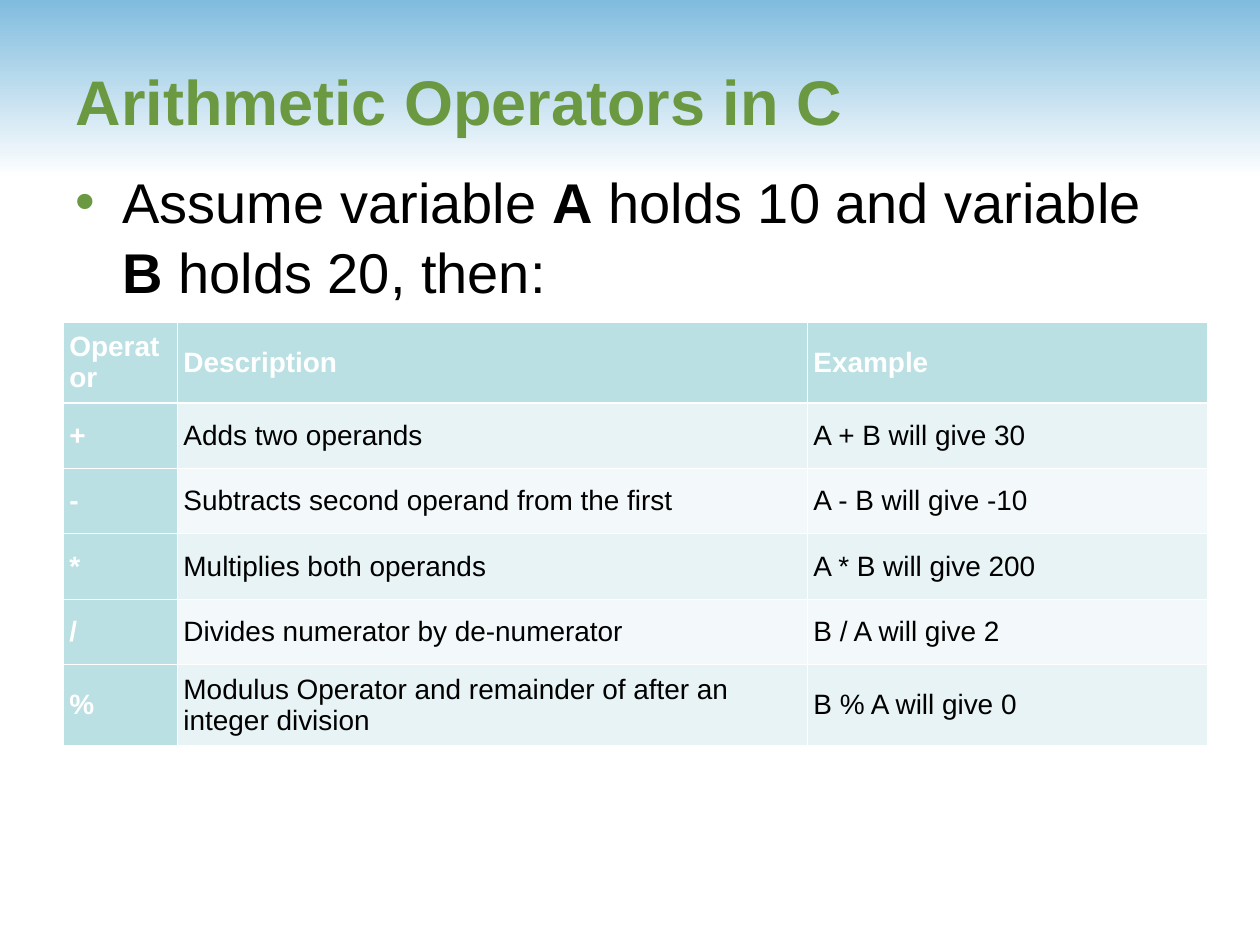
import pptx
import pptx.util
import pptx.dml.color
import pptx.enum.shapes
import pptx.enum.text
import pptx.oxml
import pptx.oxml.ns
from pptx.util import Cm, Pt

COLORS = {
    "sky": "80BCDE", "white": "FFFFFF", "green": "6B9941", "black": "000000",
    "header": "BBE0E3", "odd": "E7F3F4", "even": "F3F9FA",
}
FONT = "Arial"
LEFT, WIDTH = Cm(1.27), Cm(23.06)
COLUMNS = [2.3, 12.7, 8.06]
ROW_HEIGHTS = [1.62, 1.32, 1.32, 1.32, 1.32, 1.62]
OPERATORS = [
    ("Operator", "Description", "Example"),
    ("+", "Adds two operands", "A + B will give 30"),
    ("-", "Subtracts second operand from the first", "A - B will give -10"),
    ("*", "Multiplies both operands", "A * B will give 200"),
    ("/", "Divides numerator by de-numerator", "B / A will give 2"),
    ("%", "Modulus Operator and remainder of after an integer division",
     "B % A will give 0"),
]
ASSUMPTION = [("Assume variable ", False), ("A", True),
              (" holds 10 and variable ", False), ("B", True),
              (" holds 20, then:", False)]


def rgb(name):
    return pptx.dml.color.RGBColor.from_string(COLORS[name])


def set_font(font, size, color, bold=None):
    font.name, font.size, font.bold = FONT, Pt(size), bold
    font.color.rgb = rgb(color)


def xml(text):
    return pptx.oxml.parse_xml(
        text.replace(" ", f" {pptx.oxml.ns.nsdecls('a')} ", 1))


def add_band(s, width):
    sp = s.shapes.add_shape(
        pptx.enum.shapes.MSO_SHAPE.RECTANGLE, 0, 0, width, Cm(3.6))
    sp.shadow.inherit = False
    sp.line.fill.background()
    sp.fill.gradient()
    sp.fill.gradient_angle = 270
    for stop, position, color in zip(
            sp.fill.gradient_stops, (0, 1), ("sky", "white")):
        stop.position = position
        stop.color.rgb = rgb(color)
    s.shapes._spTree.insert(2, sp._element)


def set_title(s, text):
    sp = s.shapes.title
    sp.left, sp.top, sp.width, sp.height = LEFT, Cm(0.43), WIDTH, Cm(3.18)
    tf = sp.text_frame
    tf.text = text
    tf.vertical_anchor = pptx.enum.text.MSO_ANCHOR.MIDDLE
    p = tf.paragraphs[0]
    p.alignment = pptx.enum.text.PP_ALIGN.LEFT
    set_font(p.font, 36, "green", True)


def add_bullet(s, runs):
    tf = s.shapes.add_textbox(LEFT, Cm(3.18), WIDTH, Cm(3.18)).text_frame
    tf.word_wrap = True
    p = tf.paragraphs[0]
    p.space_before = Pt(8)
    p.line_spacing = 1.05
    set_font(p.font, 32, "black")
    pPr = p._p.get_or_add_pPr()
    pPr.set("marL", str(Cm(0.95)))
    pPr.set("indent", str(-Cm(0.95)))
    bullet = [xml(f'<a:buClr ><a:srgbClr val="{COLORS["green"]}"/></a:buClr>'),
              xml('<a:buFont typeface="Arial"/>'),
              xml('<a:buChar char="•"/>')]
    at = list(pPr).index(pPr.find(pptx.oxml.ns.qn("a:defRPr")))
    pPr[at:at] = bullet
    for text, bold in runs:
        r = p.add_run()
        r.text = text
        r.font.bold = bold


def set_borders(cell, widths):
    tcPr = cell._tc.get_or_add_tcPr()
    for i, (side, width) in enumerate(zip("LRTB", widths)):
        tcPr.insert(i, xml(
            f'<a:ln{side} w="{Pt(width)}"><a:solidFill>'
            f'<a:srgbClr val="{COLORS["white"]}"/></a:solidFill></a:ln{side}>'))


def fill_cell(cell, text, row, column):
    heading = row == 0 or column == 0
    cell.text = text
    cell.vertical_anchor = pptx.enum.text.MSO_ANCHOR.MIDDLE
    cell.margin_left = cell.margin_right = Cm(0.13)
    cell.margin_top = cell.margin_bottom = Cm(0.13)
    cell.fill.solid()
    cell.fill.fore_color.rgb = rgb(
        "header" if heading else "odd" if row % 2 else "even")
    p = cell.text_frame.paragraphs[0]
    p.space_before = p.space_after = Pt(6)
    set_font(p.font, 16, "white" if heading else "black", heading)
    for r in p.runs:
        set_font(r.font, 16, "white" if heading else "black", heading)
    set_borders(cell, (0.45, 0.45, 1.47 if row == 1 else 0.45,
                       1.47 if row == 0 else 0.45))


def add_operator_table(s, rows):
    table = s.shapes.add_table(len(rows), len(COLUMNS), LEFT, Cm(6.5), WIDTH,
                               Cm(sum(ROW_HEIGHTS))).table
    for column, width in zip(table.columns, COLUMNS):
        column.width = Cm(width)
    for i, (height, texts) in enumerate(zip(ROW_HEIGHTS, rows)):
        table.rows[i].height = Cm(height)
        for j, text in enumerate(texts):
            fill_cell(table.cell(i, j), text, i, j)


def main():
    prs = pptx.Presentation()
    prs.slide_width, prs.slide_height = Cm(25.4), Cm(19.05)
    s = prs.slides.add_slide(prs.slide_layouts[5])
    add_band(s, prs.slide_width)
    set_title(s, "Arithmetic Operators in C")
    add_operator_table(s, OPERATORS)
    add_bullet(s, ASSUMPTION)
    prs.save("out.pptx")


if __name__ == "__main__":
    main()
